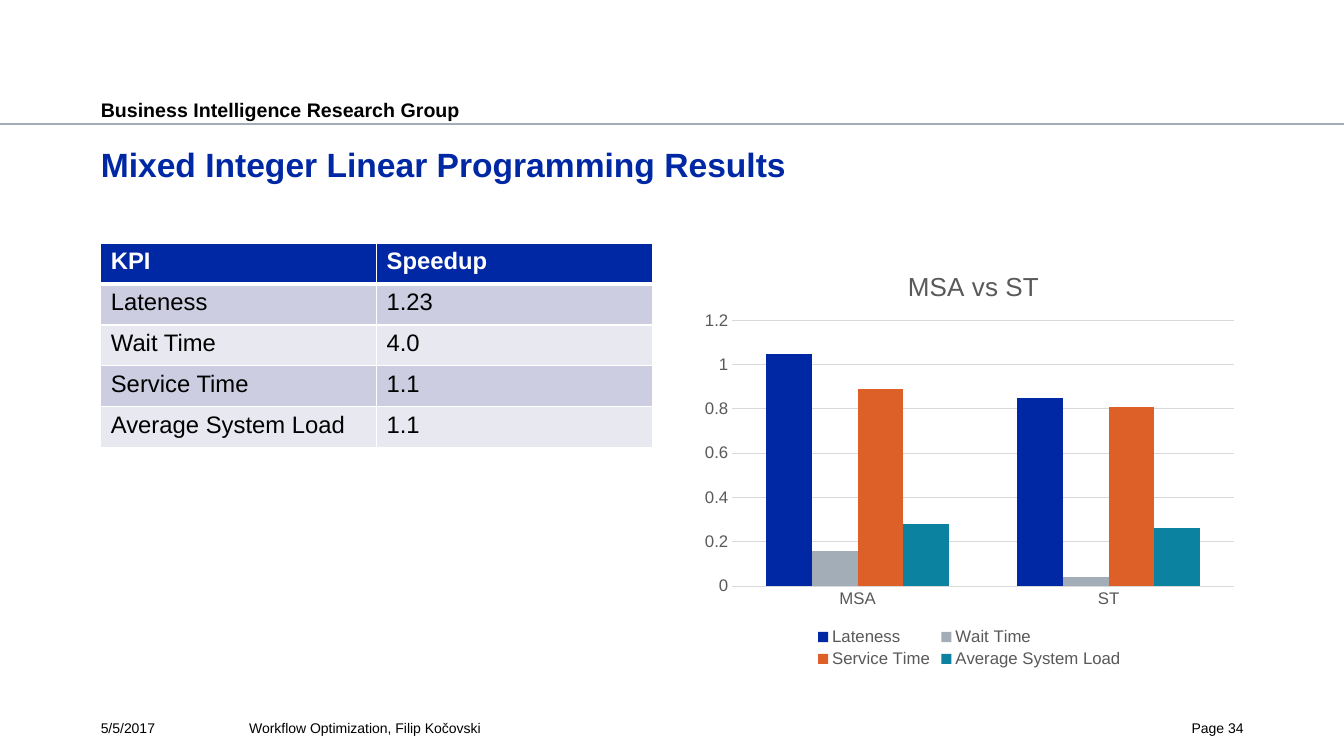
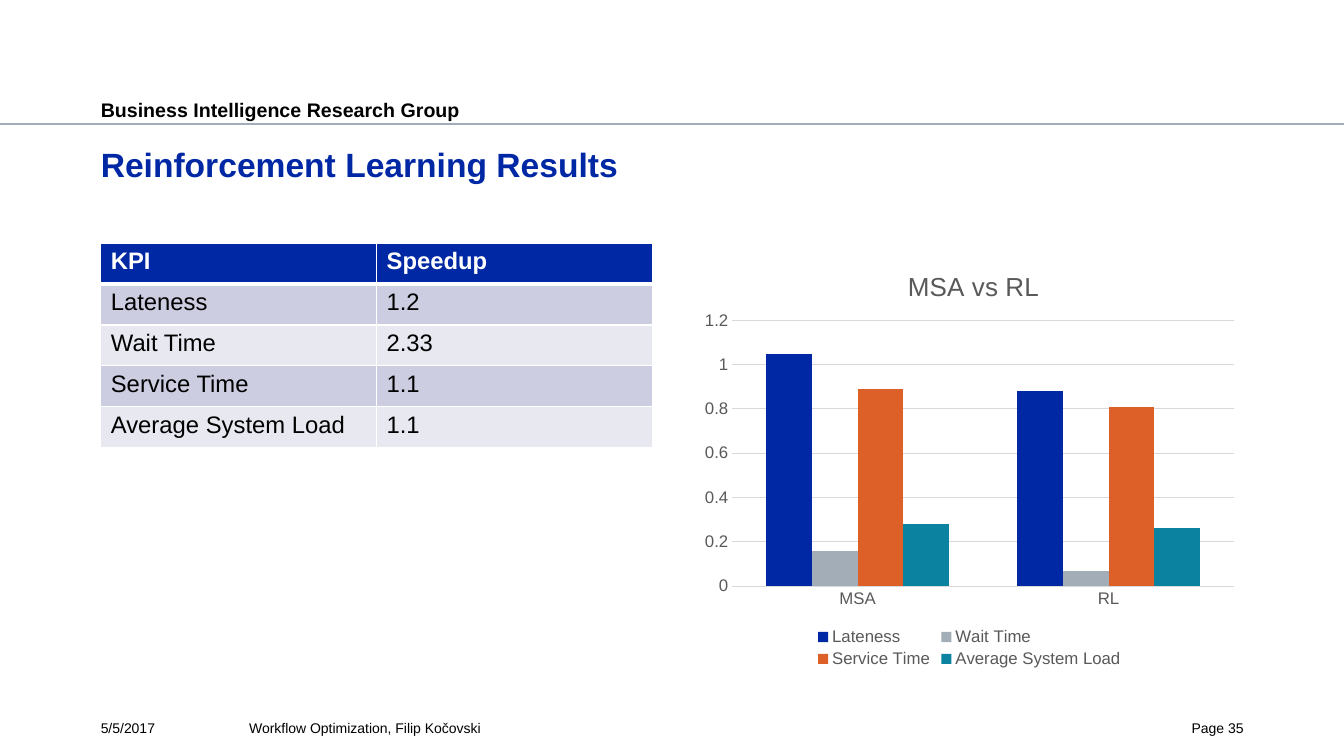
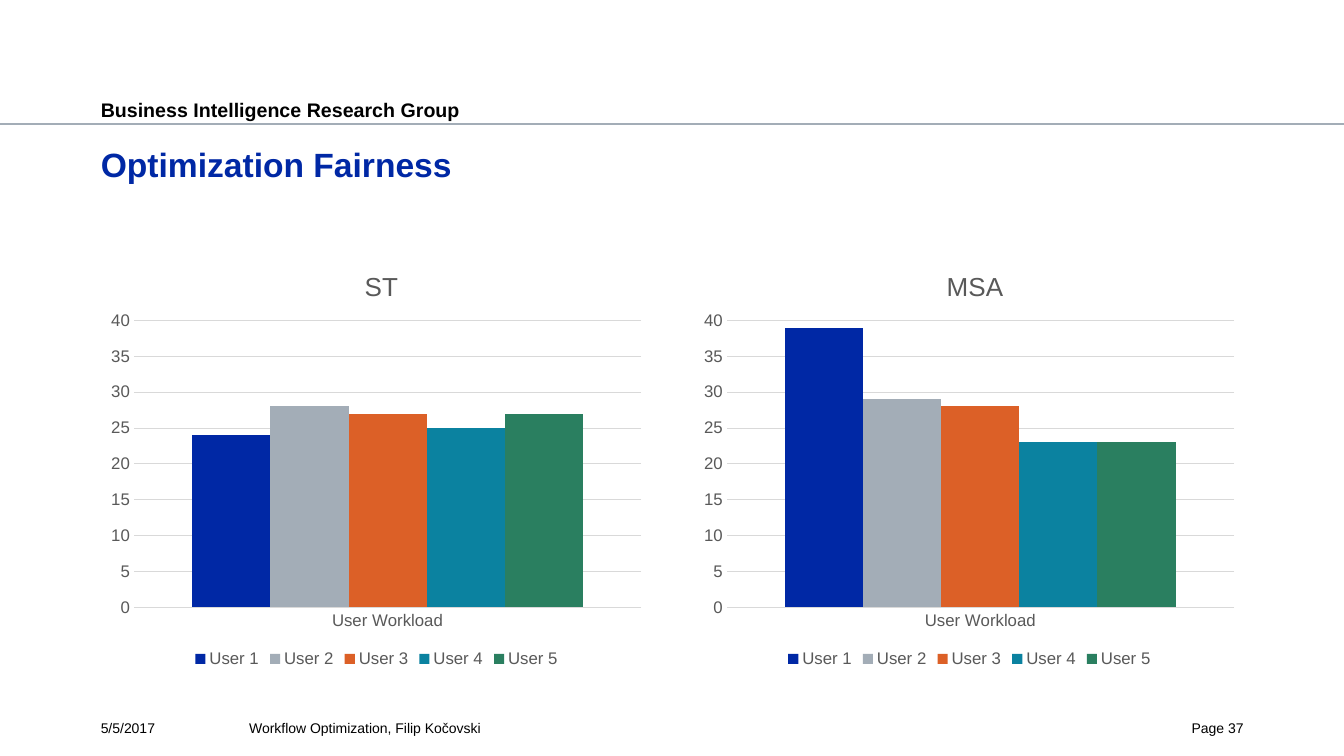
from lxml.etree import SubElement, Element
from pptx import Presentation
from pptx.chart.data import CategoryChartData
from pptx.dml.color import RGBColor
from pptx.enum.chart import XL_CHART_TYPE, XL_LEGEND_POSITION, XL_TICK_MARK
from pptx.enum.shapes import MSO_CONNECTOR
from pptx.enum.text import MSO_ANCHOR, MSO_AUTO_SIZE, PP_ALIGN
from pptx.oxml.ns import qn
from pptx.util import Cm, Pt

# Colours and font
BLUE = RGBColor(0x00, 0x28, 0xA5)
GREY = RGBColor(0xA3, 0xAD, 0xB7)
ORANGE = RGBColor(0xDC, 0x60, 0x27)
TEAL = RGBColor(0x0B, 0x82, 0xA0)
GREEN = RGBColor(0x2A, 0x7F, 0x60)
BLACK = RGBColor(0x00, 0x00, 0x00)
WHITE = RGBColor(0xFF, 0xFF, 0xFF)
DARK = RGBColor(0x59, 0x59, 0x59)
GRID = RGBColor(0xD9, 0xD9, 0xD9)
BAND = RGBColor(0xCC, 0xCD, 0xE1)
PALE = RGBColor(0xE7, 0xE8, 0xF0)
BARS = (BLUE, GREY, ORANGE, TEAL, GREEN)
FONT = "Arial"

# Shared grid
WIDTH, HEIGHT = Cm(33.87), Cm(19.05)
LEFT, RIGHT, TOP = Cm(2.54), Cm(17.48), Cm(6.13)
HALF, FULL = Cm(13.9), Cm(28.8)
ROW = Cm(1.03)

# Content
KPIS = ("Lateness", "Wait Time", "Service Time", "Average System Load")
USERS = [f"User {n}" for n in range(1, 6)]
RESULTS = (
    ("Mixed Integer Linear Programming Results", 34, "ST",
     ("1.23", "4.0", "1.1", "1.1"),
     ((1.05, 0.85), (0.16, 0.04), (0.89, 0.81), (0.28, 0.26))),
    ("Reinforcement Learning Results", 35, "RL",
     ("1.2", "2.33", "1.1", "1.1"),
     ((1.05, 0.88), (0.16, 0.07), (0.89, 0.81), (0.28, 0.26))),
)
LOADS = (
    ("ST", LEFT, 0.47, (24, 28, 27, 25, 27)),
    ("MSA", RIGHT, 0.45, (39, 29, 28, 23, 23)),
)


def style(font, size, color, bold=False):
    font.name = FONT
    font.size = Pt(size)
    font.bold = bold
    font.color.rgb = color


def write(frame, text, size, color=BLACK, bold=False, align=PP_ALIGN.LEFT):
    para = frame.paragraphs[0]
    para.alignment = align
    run = para.add_run()
    run.text = text
    style(run.font, size, color, bold)


def trim(frame, top=0):
    """Clear the insets of a frame and start its text at the top."""
    frame.margin_left = frame.margin_right = frame.margin_bottom = 0
    frame.margin_top = Cm(top)
    frame.vertical_anchor = MSO_ANCHOR.TOP
    frame.auto_size = MSO_AUTO_SIZE.NONE
    frame.word_wrap = True


def label(slide, box, text, size, top=0, **look):
    shape = slide.shapes.add_textbox(*box)
    trim(shape.text_frame, top)
    write(shape.text_frame, text, size, **look)
    return shape


def add_head(slide):
    """Put the group name and rule on the layout that all slides use."""
    rule = slide.shapes.add_connector(
        MSO_CONNECTOR.STRAIGHT, 0, Cm(3.13), WIDTH, Cm(3.13))
    rule.line.color.rgb = GREY
    rule.line.width = Pt(1.25)
    SubElement(rule.element.spPr, qn("a:effectLst"))
    name = label(slide, (LEFT, Cm(2.36), Cm(20.37), Cm(0.64)),
                 "Business Intelligence Research Group", 14, 0.1, bold=True)
    tree = slide.slide_layout.shapes.element
    for shape in (rule, name):
        tree.append(shape.element)


def add_page(deck, title, page):
    slide = deck.slides.add_slide(deck.slide_layouts[5])
    head = slide.shapes.title
    head.left, head.top, head.width, head.height = LEFT, Cm(3.53), FULL, Cm(2.2)
    trim(head.text_frame, 0.1)
    write(head.text_frame, title, 24, BLUE, True)
    # Footer
    foot = (
        ("5/5/2017", LEFT, Cm(3.45), PP_ALIGN.LEFT),
        ("Workflow Optimization, Filip Kočovski", Cm(6.28), Cm(19.46),
         PP_ALIGN.LEFT),
        (f"Page {page}", Cm(29.04), Cm(2.3), PP_ALIGN.RIGHT),
    )
    for text, left, width, align in foot:
        label(slide, (left, Cm(18.13), width, Cm(0.6)), text, 10, align=align)
    return slide


def edge(cell, side, width):
    line = SubElement(cell.fill and cell._tc.get_or_add_tcPr(),
                      qn(f"a:{side}"), w=str(Pt(width)))
    fill = SubElement(line, qn("a:solidFill"))
    SubElement(fill, qn("a:srgbClr"), val=str(WHITE))


def add_grid(slide, rows):
    table = slide.shapes.add_table(
        len(rows), 2, LEFT, TOP, HALF, ROW * len(rows)).table
    for r, row in enumerate(rows):
        table.rows[r].height = ROW
        for c, text in enumerate(row):
            cell = table.cell(r, c)
            for side in ("lnL", "lnR", "lnT", "lnB"):
                thick = (r == 0 and side == "lnB") or (r == 1 and side == "lnT")
                edge(cell, side, 3 if thick else 1)
            cell.fill.solid()
            cell.fill.fore_color.rgb = BLUE if r == 0 else (PALE, BAND)[r % 2]
            write(cell.text_frame, text, 17, BLACK if r else WHITE, r == 0)


def place(node, index, spots):
    """Give a chart part a fixed place, in shares of the chart."""
    for old in node.findall(qn("c:layout")):
        node.remove(old)
    layout = Element(qn("c:layout"))
    node.insert(index, layout)
    manual = SubElement(layout, qn("c:manualLayout"))
    for key, val in spots:
        SubElement(manual, qn(f"c:{key}"), val=str(val))


def add_bars(slide, left, title, shift, cats, series, peak, step, inner):
    data = CategoryChartData()
    data.categories = cats
    for name, vals in series:
        data.add_series(name, vals)
    chart = slide.shapes.add_chart(
        XL_CHART_TYPE.COLUMN_CLUSTERED, left, TOP, HALF, Cm(10.8), data).chart
    style(chart.font, 12, DARK)
    # Title and legend
    chart.has_title = True
    write(chart.chart_title.text_frame, title, 18.6, DARK,
          align=PP_ALIGN.CENTER)
    chart.has_legend = True
    chart.legend.position = XL_LEGEND_POSITION.BOTTOM
    chart.legend.include_in_layout = False
    style(chart.legend.font, 12, DARK)
    # Axes
    for axis in (chart.category_axis, chart.value_axis):
        axis.major_tick_mark = axis.minor_tick_mark = XL_TICK_MARK.NONE
        axis.format.line.fill.background()
        style(axis.tick_labels.font, 12, DARK)
    axis = chart.value_axis
    axis.minimum_scale, axis.maximum_scale, axis.major_unit = 0, peak, step
    axis.has_major_gridlines = True
    axis.major_gridlines.format.line.color.rgb = GRID
    axis.major_gridlines.format.line.width = Pt(0.75)
    # Columns
    plot = chart.plots[0]
    plot.gap_width, plot.overlap = 150, 0
    plot.vary_by_categories = False
    for bar, color in zip(plot.series, BARS):
        bar.format.fill.solid()
        bar.format.fill.fore_color.rgb = color
    # Places of title and plot
    root = chart.element
    place(root.find(".//" + qn("c:title")), 1,
          (("xMode", "edge"), ("yMode", "edge"), ("x", shift), ("y", 0.05)))
    x, w, h = inner
    place(root.find(".//" + qn("c:plotArea")), 0,
          (("layoutTarget", "inner"), ("xMode", "edge"), ("yMode", "edge"),
           ("x", x), ("y", 0.18), ("w", w), ("h", h)))


def main():
    deck = Presentation()
    deck.slide_width, deck.slide_height = WIDTH, HEIGHT

    # Result slides: table and chart
    for title, page, rival, gains, vals in RESULTS:
        slide = add_page(deck, title, page)
        add_grid(slide, [("KPI", "Speedup"), *zip(KPIS, gains)])
        add_bars(slide, RIGHT, f"MSA vs {rival}", 0.38, ("MSA", rival),
                 zip(KPIS, vals), 1.2, 0.2, (0.07, 0.91, 0.62))

    # Fairness slide: two charts
    slide = add_page(deck, "Optimization Fairness", 37)
    for name, left, shift, loads in LOADS:
        series = [(user, (load,)) for user, load in zip(USERS, loads)]
        add_bars(slide, left, name, shift, ("User Workload",), series,
                 40, 5, (0.06, 0.92, 0.67))

    add_head(slide)
    deck.save("out.pptx")


if __name__ == "__main__":
    main()
